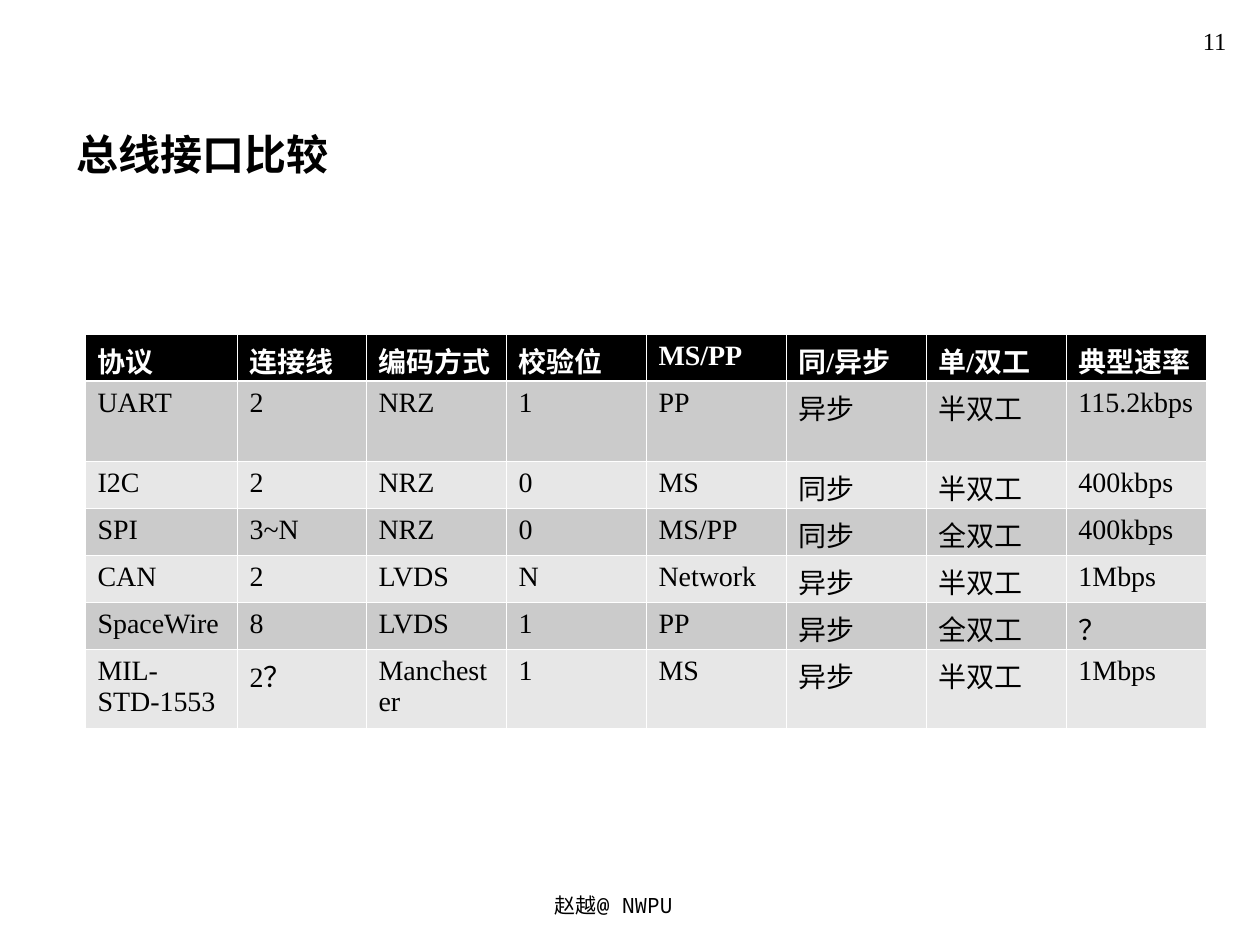
from pptx import Presentation
from pptx import util as u
from pptx.dml.color import RGBColor
from pptx.enum import text
from pptx.oxml import ns
from lxml import etree

PX = 914400 / 126
INK = {"black": "000000", "white": "FFFFFF", "dark": "CBCBCB", "light": "E7E7E7"}
SERIF, SANS, MONO = "Times New Roman", "Noto Sans CJK SC", "Noto Sans Mono"


def px(n):
    return u.Emu(round(n * PX))


def write(frame, words, align, ink, form):
    par = frame.paragraphs[0]
    par.alignment = align
    run = par.add_run()
    run.text = words
    for key, val in form.items():
        setattr(run.font, key, val)
    run.font.color.rgb = RGBColor.from_string(INK[ink])
    etree.SubElement(run.font._element, ns.qn("a:ea"), typeface=SANS)


deck = Presentation()
deck.slide_width, deck.slide_height = px(1260), px(945)
slide = deck.slides.add_slide(deck.slide_layouts[6])
LEFT, MID, RIGHT = text.PP_ALIGN.LEFT, text.PP_ALIGN.CENTER, text.PP_ALIGN.RIGHT
TOP, LOW = text.MSO_ANCHOR.TOP, text.MSO_ANCHOR.BOTTOM

labels = [
    ("赵越@ NWPU ", (305, 886, 630, 38), MID, TOP,
     {"name": MONO, "size": u.Pt(12)}),
    ("总线接口比较", (64, 106, 1121, 79), LEFT, LOW,
     {"name": SANS, "size": u.Pt(24), "bold": True}),
    ("11", (1123, 20, 116, 55), RIGHT, TOP,
     {"name": SERIF, "size": u.Pt(14)}),
]
for words, place, align, anchor, form in labels:
    frame = slide.shapes.add_textbox(*map(px, place)).text_frame
    frame.word_wrap = True
    frame.vertical_anchor = anchor
    write(frame, words, align, "black", form)

rows = [
    ["协议", "连接线", "编码方式", "校验位", "MS/PP", "同/异步", "单/双工", "典型速率"],
    ["UART", "2", "NRZ", "1", "PP", "异步", "半双工", "115.2kbps"],
    ["I2C", "2", "NRZ", "0", "MS", "同步", "半双工", "400kbps"],
    ["SPI", "3~N", "NRZ", "0", "MS/PP", "同步", "全双工", "400kbps"],
    ["CAN", "2", "LVDS", "N", "Network", "异步", "半双工", "1Mbps"],
    ["SpaceWire", "8", "LVDS", "1", "PP", "异步", "全双工", "？"],
    ["MIL-STD-1553", "2？", "Manchester", "1", "MS", "异步", "半双工", "1Mbps"],
]
wides = [152, 129] + [140] * 6
highs = [47, 80] + [47] * 4 + [80]
grid = slide.shapes.add_table(
    len(rows), len(wides), px(85), px(334), px(sum(wides)), px(sum(highs))).table
for col, wide in zip(grid.columns, wides):
    col.width = px(wide)
for row, high in zip(grid.rows, highs):
    row.height = px(high)

for r, row in enumerate(rows):
    head = r == 0
    fill = "black" if head else "dark" if r % 2 else "light"
    form = {"name": SERIF, "size": u.Pt(16), "bold": head}
    thick = {0: "lnB", 1: "lnT"}.get(r)
    for c, words in enumerate(row):
        cell = grid.cell(r, c)
        props = cell._tc.get_or_add_tcPr()
        for side in ("lnL", "lnR", "lnT", "lnB"):
            width = u.Pt(1.47 if side == thick else 0.45)
            line = etree.SubElement(props, ns.qn("a:" + side), w=str(width))
            paint = etree.SubElement(line, ns.qn("a:solidFill"))
            etree.SubElement(paint, ns.qn("a:srgbClr"), val=INK["white"])
        cell.fill.solid()
        cell.fill.fore_color.rgb = RGBColor.from_string(INK[fill])
        write(cell.text_frame, words, LEFT, "white" if head else "black", form)

deck.save("out.pptx")
